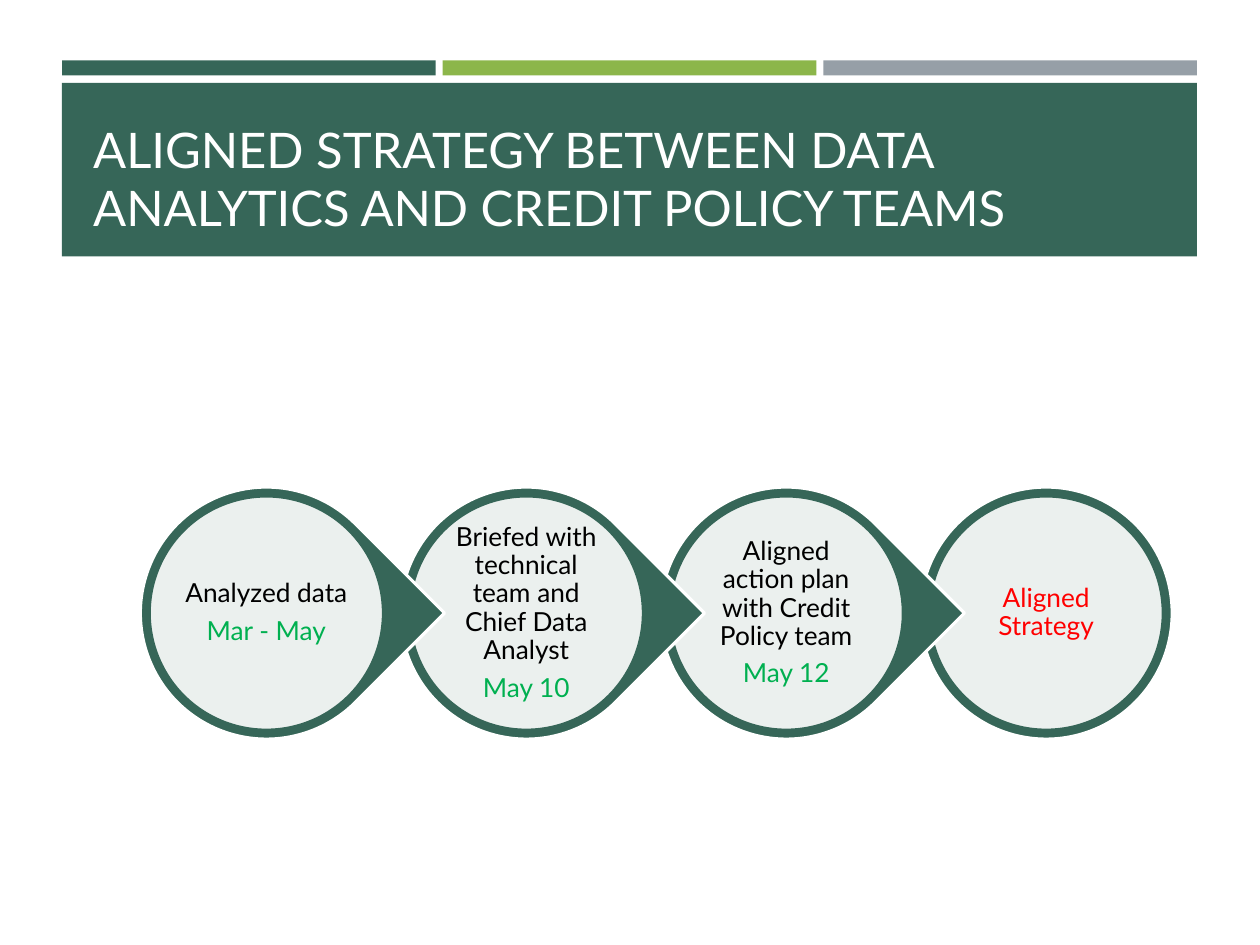
from dataclasses import dataclass

from lxml.etree import SubElement
from pptx import Presentation
from pptx.dml.color import RGBColor as Rgb
from pptx.enum.shapes import MSO_SHAPE as Shape
from pptx.enum.text import MSO_ANCHOR as Anchor, PP_ALIGN as Align
from pptx.oxml.ns import qn
from pptx.util import Cm, Pt


@dataclass(frozen=True)
class Theme:
    font: str = "Lato"
    green: str = "366658"
    lime: str = "8CB64A"
    grey: str = "969FA7"
    white: str = "FFFFFF"
    black: str = "000000"
    date: str = "00B050"
    goal: str = "FF0000"
    title_size: float = 28
    step_size: float = 15
    outline: float = 1.75


theme = Theme()
TITLE = "ALIGNED STRATEGY BETWEEN DATA ANALYTICS AND CREDIT POLICY TEAMS"
STEPS = [
    [("Analyzed data", theme.black), ("Mar - May", theme.date)],
    [("Briefed with technical team and Chief Data Analyst", theme.black), ("May 10", theme.date)],
    [("Aligned action plan with Credit Policy team", theme.black), ("May 12", theme.date)],
    [("Aligned Strategy", theme.goal)],
]
STRIPES = [theme.green, theme.lime, theme.grey]

LEFT, WIDTH = 1.25, 22.88
STRIPE_GAP = 0.14
FIRST_X, CENTER_Y, PITCH = 5.37, 12.36, 5.24
OUTER, INNER, LABEL = 5.08, 4.72, 3.38

deck = Presentation()
deck.slide_width, deck.slide_height = Cm(25.4), Cm(19.05)
slide = deck.slides.add_slide(deck.slide_layouts[6])


def draw(kind, box, fill, line=None):
    shape = slide.shapes.add_shape(kind, *map(Cm, box))
    shape.shadow.inherit = False
    shape.fill.solid()
    shape.fill.fore_color.rgb = Rgb.from_string(fill)
    if line:
        shape.line.color.rgb = Rgb.from_string(line)
        shape.line.width = Pt(theme.outline)
    else:
        shape.line.fill.background()
    return shape


def write(box, lines, size, anchor):
    frame = slide.shapes.add_textbox(*map(Cm, box)).text_frame
    frame.word_wrap = True
    frame.vertical_anchor = anchor
    for index, (words, color) in enumerate(lines):
        line = frame.add_paragraph() if index else frame.paragraphs[0]
        line.text = words
        line.font.name = theme.font
        line.font.size = Pt(size)
        line.font.color.rgb = Rgb.from_string(color)
    return frame


def centered(x, size):
    return x - size / 2, CENTER_Y - size / 2, size, size


stripe_width = (WIDTH - STRIPE_GAP * (len(STRIPES) - 1)) / len(STRIPES)
for index, color in enumerate(STRIPES):
    stripe_x = LEFT + index * (stripe_width + STRIPE_GAP)
    draw(Shape.RECTANGLE, (stripe_x, 1.22, stripe_width, 0.3), color)

draw(Shape.RECTANGLE, (LEFT, 1.67, WIDTH, 3.5), theme.green)
write((1.63, 1.9, 22.2, 3), [(TITLE, theme.white)], theme.title_size, Anchor.BOTTOM)

last = len(STEPS) - 1
for index, lines in reversed(list(enumerate(STEPS))):
    x = FIRST_X + index * PITCH
    ring_kind = Shape.OVAL if index == last else Shape.TEAR
    ring = draw(ring_kind, centered(x, OUTER), theme.green, theme.white)
    ring.rotation = 0 if index == last else 45

    disc = draw(Shape.OVAL, centered(x, INNER), theme.white, theme.green)
    disc_color = disc.fill._xPr.find(qn("a:solidFill"))[0]
    SubElement(disc_color, qn("a:alpha"), val="90000")

    label = write(centered(x, LABEL), lines, theme.step_size, Anchor.MIDDLE)
    label.margin_left = label.margin_right = Cm(0.05)
    label.margin_top = label.margin_bottom = Cm(0.05)
    for line in label.paragraphs:
        line.alignment = Align.CENTER
        line.line_spacing = 0.9
        line.space_after = Pt(theme.step_size * 0.35)

deck.save("out.pptx")
